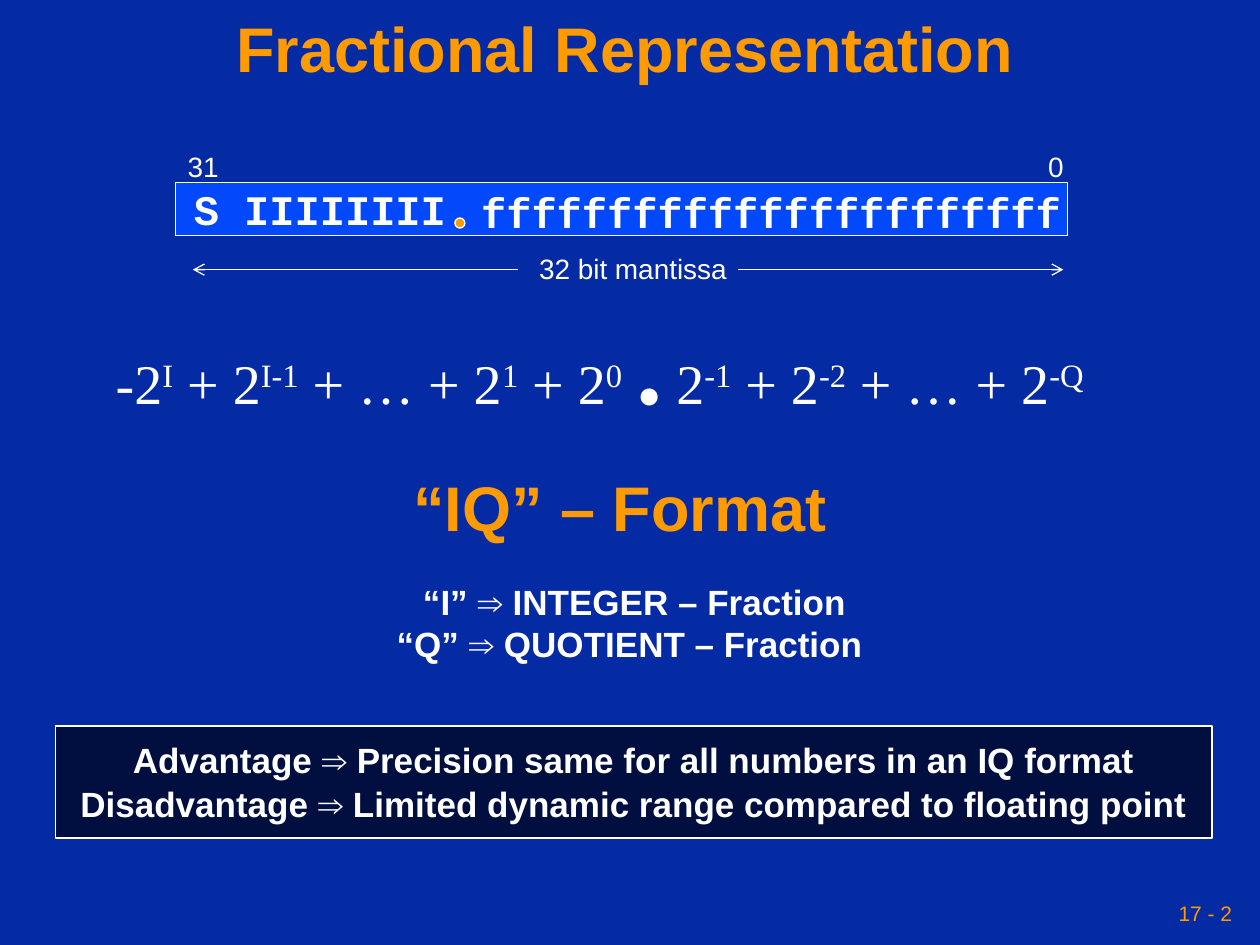
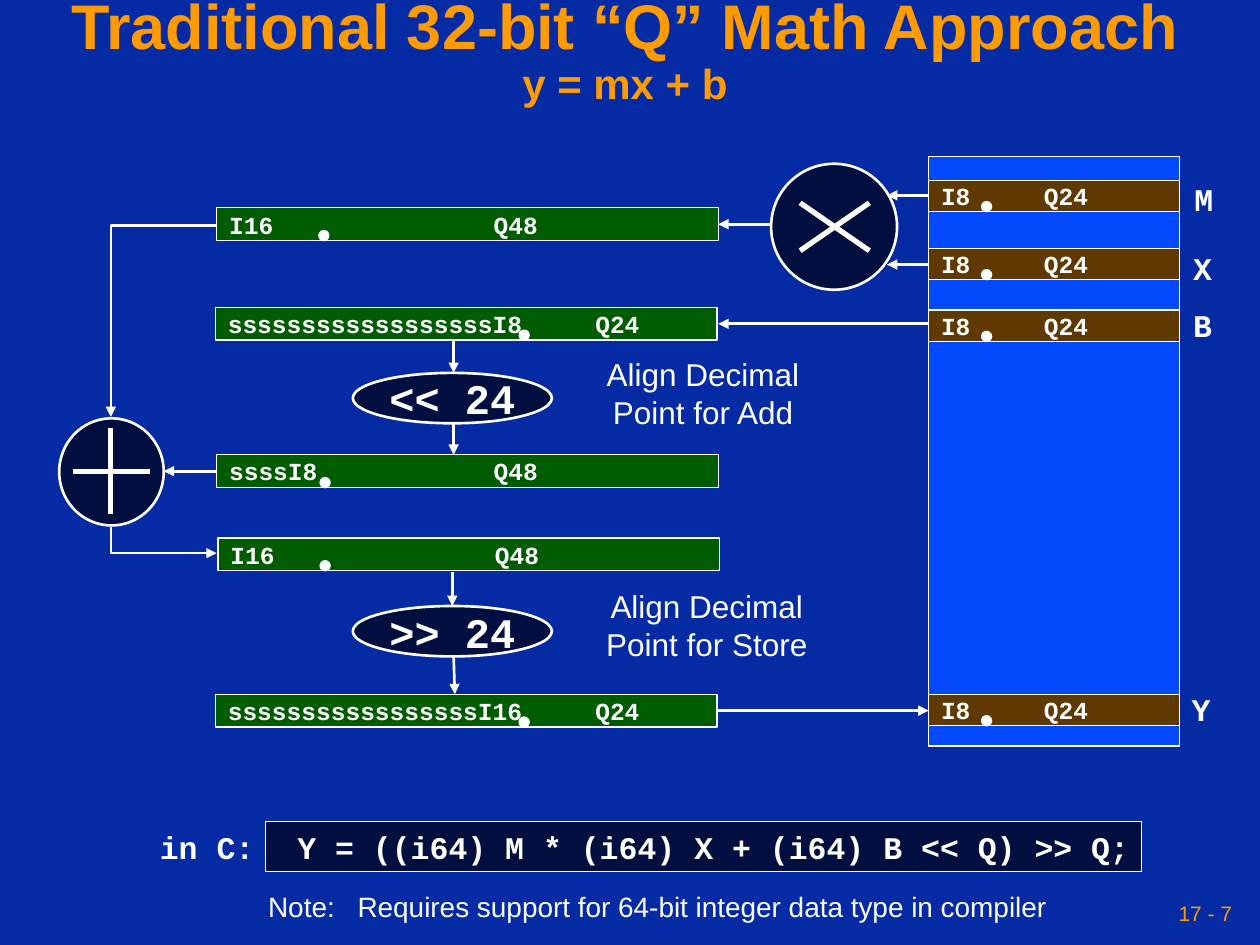
"""Build two slides on fractional number formats and Q math."""
from dataclasses import dataclass

from lxml.etree import SubElement
from pptx import Presentation
from pptx.dml.color import RGBColor
from pptx.enum.shapes import MSO_CONNECTOR as Connector, MSO_SHAPE as Shape
from pptx.enum.text import MSO_ANCHOR as Anchor, PP_ALIGN as Align
from pptx.oxml.ns import qn
from pptx.util import Inches, Pt


@dataclass(frozen=True)
class Theme:
    back: str = "042AA4"
    accent: str = "FE9B03"
    white: str = "FFFFFF"
    bright: str = "0249FC"
    dark: str = "000F40"
    green: str = "005C00"
    brown: str = "603900"
    sans: str = "Arial"
    mono: str = "Courier New"
    serif: str = "Times New Roman"
    point: int = 60
    title: int = 36
    power: int = 32
    big: int = 24
    body: int = 20
    label: int = 18
    small: int = 16
    register: int = 14
    footer: int = 12


THEME = Theme()
WIDTH, HEIGHT = 10, 7.5
MONO_ADVANCE = 0.6
DOT = 0.08

INTEGER_POWERS = "-2^I^ + 2^I-1^ + … + 2^1^ + 2^0^ "
FRACTION_POWERS = " 2^-1^ + 2^-2^ + … + 2^-Q^"
MEANINGS = ["“I” ⇒ INTEGER – Fraction", "“Q” ⇒ QUOTIENT – Fraction "]
TRADE_OFFS = [
    "Advantage ⇒ Precision same for all numbers in an IQ format",
    "Disadvantage ⇒ Limited dynamic range compared to floating point",
]
BIT_LABELS = [("31", 1.39), ("0", 8.22)]
MANTISSA_ARROWS = [(4.11, 1.53), (5.86, 8.44)]

# name, top, label left, label top
MEMORY_LEFT, MEMORY_WIDTH, MEMORY_DOT = 7.37, 1.99, 7.79
MEMORY = [
    ("M", 1.43, 9.38, 1.38),
    ("X", 1.97, 9.37, 1.93),
    ("B", 2.46, 9.37, 2.38),
    ("Y", 5.51, 9.36, 5.43),
]
# integer field, fraction field, fraction column, left, top, dot left
ACCUMULATORS = [
    ("I16", "Q48", 18, 1.72, 1.65, 2.53),
    ("s" * 18 + "I8", "Q24", 25, 1.71, 2.44, 4.12),
    ("ssssI8", "Q48", 18, 1.72, 3.61, 2.54),
    ("I16", "Q48", 18, 1.73, 4.27, 2.54),
    ("s" * 17 + "I16", "Q24", 25, 1.71, 5.51, 4.12),
]
SHIFTS = [("<< 24", 2.96, "Add", 5.58, 2.77), (">> 24", 4.81, "Store", 5.61, 4.61)]
OPERATORS = [(0.47, 3.32, 0.83, 0.85), (6.12, 1.3, 1, 1)]
OPERATOR_STROKES = [
    [(0.88, 3.4), (0.88, 4.08)],
    [(0.58, 3.74), (1.19, 3.74)],
    [(6.35, 1.61), (6.9, 1.99)],
    [(6.35, 1.99), (6.9, 1.61)],
]
FLOWS = [
    [(7.37, 1.55), (7.04, 1.55)],
    [(7.37, 2.1), (7.04, 2.1)],
    [(6.12, 1.78), (5.7, 1.78)],
    [(7.37, 2.57), (5.7, 2.57)],
    [(1.72, 1.79), (0.88, 1.79), (0.88, 3.31)],
    [(3.6, 2.71), (3.6, 2.96)],
    [(3.6, 3.36), (3.6, 3.61)],
    [(1.72, 3.74), (1.3, 3.74)],
    [(0.88, 4.18), (0.88, 4.39), (1.72, 4.39)],
    [(3.59, 4.54), (3.59, 4.81)],
    [(3.6, 5.21), (3.61, 5.51)],
    [(5.7, 5.64), (7.37, 5.64)],
]


def rgb(color):
    """Turn a hex string into a colour."""
    return RGBColor.from_string(color)


def write(frame, lines, size=THEME.label, font=THEME.sans, color=THEME.white,
          bold=False, align=Align.LEFT, anchor=Anchor.TOP, wrap=False,
          insets=(0.1, 0.05, 0.1, 0.05), spacing=None, after=0, tab=None):
    """Write lines, each a string or a list of (text, overrides) spans."""
    frame.word_wrap, frame.vertical_anchor = wrap, anchor
    (frame.margin_left, frame.margin_top,
     frame.margin_right, frame.margin_bottom) = map(Inches, insets)
    for index, line in enumerate(lines):
        para = frame.add_paragraph() if index else frame.paragraphs[0]
        para.alignment, para.line_spacing = align, spacing
        if index < len(lines) - 1:
            para.space_after = Pt(after)
        if tab:
            stops = SubElement(para._p.get_or_add_pPr(), qn("a:tabLst"))
            SubElement(stops, qn("a:tab"), pos=str(Inches(tab)), algn="l")
        for text, extra in [(line, {})] if isinstance(line, str) else line:
            span = para.add_run()
            span.text = text
            span.font.name = font
            span.font.size = Pt(extra.get("size", size))
            span.font.bold = extra.get("bold", bold)
            span.font.color.rgb = rgb(color)
            if extra.get("raised"):
                span._r.get_or_add_rPr().set("baseline", "30000")


def add_text(page, at, lines, **style):
    """Add a text box."""
    box = page.shapes.add_textbox(*map(Inches, at))
    write(box.text_frame, lines, **style)


def add_block(page, kind, at, fill, weight=0.75, lines=(), **style):
    """Add a filled, white-edged shape with optional text."""
    box = page.shapes.add_shape(kind, *map(Inches, at))
    box.shadow.inherit = False
    box.fill.solid()
    box.fill.fore_color.rgb = rgb(fill)
    box.line.color.rgb = rgb(THEME.white)
    box.line.width = Pt(weight)
    if lines:
        write(box.text_frame, lines, **{"anchor": Anchor.MIDDLE, "bold": True, **style})


def add_path(page, points, weight=1.5, tip=None):
    """Join points with a line, with an optional arrowhead at the last one."""
    points = [(Inches(x), Inches(y)) for x, y in points]
    if len(points) == 2:
        path = page.shapes.add_connector(Connector.STRAIGHT, *points[0], *points[1])
    else:
        builder = page.shapes.build_freeform(*points[0])
        builder.add_line_segments(points[1:], close=False)
        path = builder.convert_to_shape()
        path.fill.background()
    path.line.color.rgb = rgb(THEME.white)
    path.line.width = Pt(weight)
    if tip:
        SubElement(path.line._get_or_add_ln(), qn("a:tailEnd"), type=tip)
    SubElement(path._element.spPr, qn("a:effectLst"))


def add_register(page, at, fill, fields, column, dot_left):
    """Add a register whose second field starts at a character column."""
    tab = column * THEME.register * MONO_ADVANCE / 72
    add_block(page, Shape.RECTANGLE, at, fill, lines=["\t".join(fields)],
              size=THEME.register, font=THEME.mono, wrap=True, tab=tab)
    dot_top = at[1] + at[3] - DOT
    add_block(page, Shape.OVAL, (dot_left, dot_top, DOT, DOT), THEME.white)


def powers(text):
    """Split text at carets into plain and raised spans."""
    parts = text.split("^")
    return [(part, {"raised": i % 2 == 1}) for i, part in enumerate(parts) if part]


def new_page(deck, title, number):
    """Add a blank page with background, title and page number."""
    page = deck.slides.add_slide(deck.slide_layouts[6])
    page.background.fill.solid()
    page.background.fill.fore_color.rgb = rgb(THEME.back)
    shared = dict(color=THEME.accent, anchor=Anchor.MIDDLE, insets=[0.05] * 4)
    add_text(page, (0, 0, 9.92, 0.83), title, size=THEME.title, bold=True,
             align=Align.CENTER, wrap=True, spacing=0.9, **shared)
    add_text(page, (6.83, 7.08, 3, 0.33), [f"17 - {number}"], size=THEME.footer,
             align=Align.RIGHT, wrap=True, **shared)
    return page


def build_fractions(deck):
    """Show the bit layout and the IQ format."""
    page = new_page(deck, ["Fractional Representation"], 2)
    add_block(page, Shape.RECTANGLE, (1.39, 1.45, 7.08, 0.42), THEME.bright)
    bits = dict(size=THEME.big, font=THEME.mono, bold=True)
    add_text(page, (1.44, 1.41, 2.2, 0.5), ["S IIIIIIII"], **bits)
    add_text(page, (3.72, 1.43, 4.9, 0.5), ["f" * 23], wrap=True, **bits)
    add_block(page, Shape.OVAL, (3.61, 1.73, DOT, DOT), THEME.accent)
    for label, left in BIT_LABELS:
        add_text(page, (left, 1.14, 0.6, 0.37), [label], size=THEME.small, wrap=True)
    add_text(page, (4.18, 1.95, 1.8, 0.37), ["32 bit mantissa"],
             size=THEME.small, wrap=True)
    for start, end in MANTISSA_ARROWS:
        add_path(page, [(start, 2.14), (end, 2.14)], 0.75, "arrow")
    point = (".", {"size": THEME.point, "bold": True})
    add_text(page, (0.82, 2.33, 8.5, 1.1),
             [[*powers(INTEGER_POWERS), point, *powers(FRACTION_POWERS)]],
             size=THEME.power, font=THEME.serif, wrap=True)
    centred = dict(bold=True, align=Align.CENTER)
    add_text(page, (3.12, 3.67, 3.6, 0.7), ["“IQ” – Format "],
             size=THEME.title, color=THEME.accent, **centred)
    add_text(page, (3.04, 4.56, 3.99, 0.77), MEANINGS, size=THEME.body, **centred)
    add_block(page, Shape.RECTANGLE, (0.44, 5.76, 9.18, 0.89), THEME.dark, 1,
              TRADE_OFFS, size=THEME.body, after=1, **centred)


def build_q_math(deck):
    """Show the data flow of y = mx + b in Q math."""
    title = ["Traditional 32-bit “Q” Math Approach", [("y = mx + b", {"size": THEME.big})]]
    page = new_page(deck, title, 7)
    code = dict(font=THEME.mono, bold=True)
    add_block(page, Shape.RECTANGLE, (MEMORY_LEFT, 1.24, MEMORY_WIDTH, 4.68), THEME.bright)
    for name, top, label_left, label_top in MEMORY:
        add_register(page, (MEMORY_LEFT, top, MEMORY_WIDTH, 0.25), THEME.brown,
                     ("I8", "Q24"), 7, MEMORY_DOT)
        add_text(page, (label_left, label_top, 0.35, 0.4), [name], **code)
    for whole, fraction, column, left, top, dot_left in ACCUMULATORS:
        add_register(page, (left, top, 3.98, 0.26), THEME.green,
                     (whole, fraction), column, dot_left)
    for at in OPERATORS:
        add_block(page, Shape.OVAL, at, THEME.dark, 1.5)
    for stroke in OPERATOR_STROKES:
        add_path(page, stroke, 3)
    for shift, top, purpose, centre, note_top in SHIFTS:
        add_block(page, Shape.OVAL, (2.8, top, 1.58, 0.4), THEME.dark, 1.5, [shift],
                  size=THEME.big, font=THEME.mono, align=Align.CENTER)
        add_text(page, (centre - 1.2, note_top, 2.4, 0.7),
                 ["Align Decimal", f"Point for {purpose}"], align=Align.CENTER, wrap=True)
    for flow in FLOWS:
        add_path(page, flow, tip="triangle")
    add_text(page, (1.17, 6.52, 0.95, 0.4), ["in C:"], **code)
    add_block(page, Shape.RECTANGLE, (2.11, 6.52, 6.95, 0.4), THEME.dark,
              lines=["Y = ((i64) M * (i64) X + (i64) B << Q) >> Q;"], size=THEME.label,
              font=THEME.mono, wrap=True, anchor=Anchor.TOP, insets=(0.25, 0.05, 0, 0.05))
    add_text(page, (2.03, 7.01, 6.6, 0.37),
             ["Note:\tRequires support for 64-bit integer data type in compiler"],
             size=THEME.small, wrap=True, tab=0.71)


def main():
    """Build and save the deck."""
    deck = Presentation()
    deck.slide_width, deck.slide_height = Inches(WIDTH), Inches(HEIGHT)
    build_fractions(deck)
    build_q_math(deck)
    deck.save("out.pptx")


if __name__ == "__main__":
    main()
